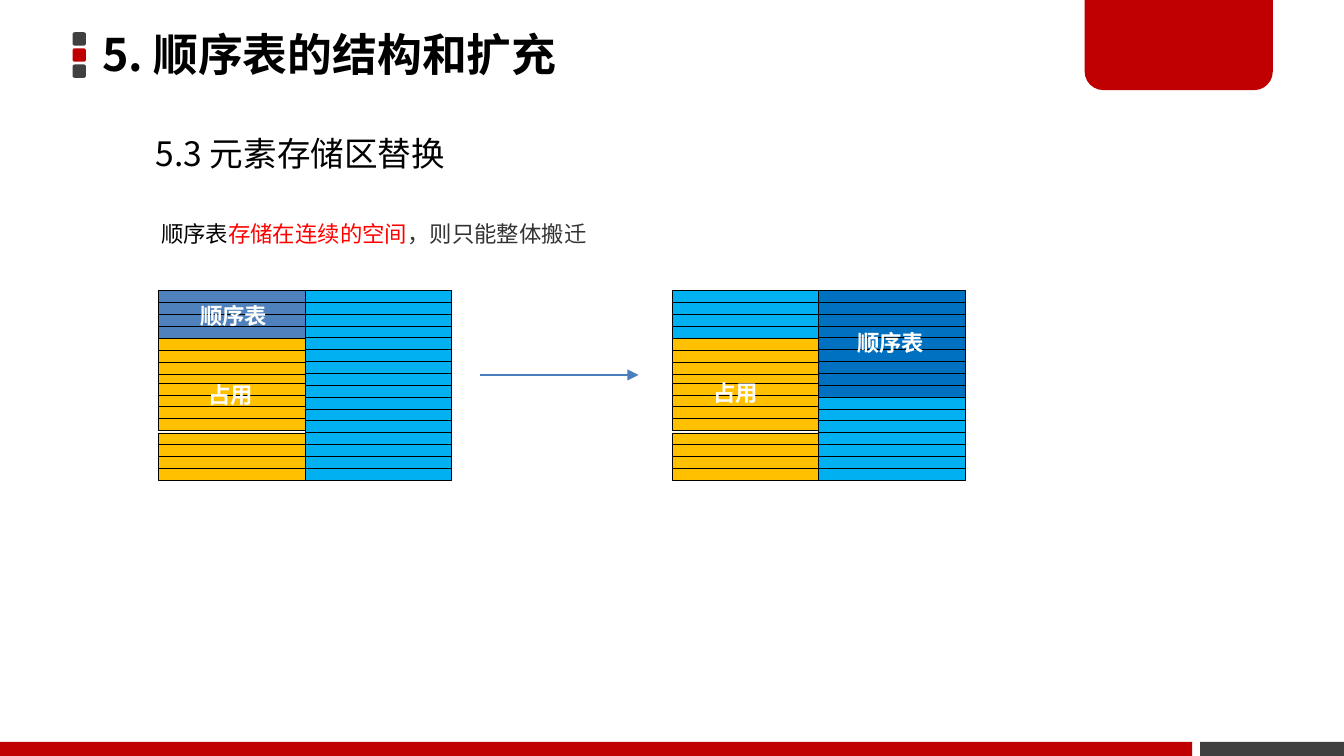
"""Build the slide on replacing the storage area of a sequential list."""
from lxml.etree import SubElement
from pptx import Presentation
from pptx.dml.color import RGBColor
from pptx.enum.shapes import MSO_CONNECTOR, MSO_SHAPE as Shape
from pptx.enum.text import MSO_ANCHOR as Anchor, MSO_AUTO_SIZE as AutoSize, PP_ALIGN as Align
from pptx.oxml.ns import qn
from pptx.util import Inches, Pt

BLACK = RGBColor(0x00, 0x00, 0x00)
WHITE = RGBColor(0xFF, 0xFF, 0xFF)
CHARCOAL = RGBColor(0x33, 0x33, 0x33)
GRAY = RGBColor(0x40, 0x40, 0x40)
CRIMSON = RGBColor(0xC0, 0x00, 0x00)
RED = RGBColor(0xFF, 0x00, 0x00)
STEEL = RGBColor(0x4F, 0x81, 0xBD)
ARROW = RGBColor(0x4B, 0x7E, 0xBC)
SKY = RGBColor(0x00, 0xB0, 0xF0)
NAVY = RGBColor(0x00, 0x70, 0xC0)
AMBER = RGBColor(0xFF, 0xC0, 0x00)

FONT = "Noto Sans CJK SC"
CELL_WIDTH, CELL_HEIGHT = 1.09, 0.09
COLUMN_HEIGHT, CELL_COUNT = 1.41, 16
CELL_PITCH = COLUMN_HEIGHT / CELL_COUNT
MEMORY_TOP = 2.16
BLOCK_TOPS = (MEMORY_TOP, 2.52, 2.85, 3.22)
BLOCK_SIZE = 4


def add_span(para, text, size=12, color=BLACK, bold=False):
    """Append a formatted run to a paragraph."""
    span = para.add_run()
    span.text = text
    span.font.size = Pt(size)
    span.font.bold = bold
    span.font.color.rgb = color
    span.font.name = FONT
    SubElement(span.font._element, qn("a:ea"), typeface=FONT)


class Painter:
    """Hold the style and the current slide."""

    def __init__(self, page):
        """Start painting on a page."""
        self.page = page

    def shape(self, kind, left, top, width, height, fill, line=None):
        """Add a filled preset shape."""
        box = self.page.shapes.add_shape(
            kind, Inches(left), Inches(top), Inches(width), Inches(height))
        box.shadow.inherit = False
        box.fill.solid()
        box.fill.fore_color.rgb = fill
        if line is None:
            box.line.fill.background()
        else:
            box.line.color.rgb = line
            box.line.width = Pt(0.25)
        return box

    def title(self, text):
        """Fill and place the title placeholder."""
        box = self.page.shapes.title
        box.left, box.top = Inches(0.69), Inches(-0.02)
        box.width, box.height = Inches(5.89), Inches(0.89)
        frame = box.text_frame
        frame.auto_size = AutoSize.NONE
        frame.vertical_anchor = Anchor.MIDDLE
        frame.margin_left = frame.margin_right = Inches(0.07)
        frame.margin_top = frame.margin_bottom = Inches(0.04)
        para = frame.paragraphs[0]
        para.alignment = Align.LEFT
        para.line_spacing = 0.9
        add_span(para, text, size=24, bold=True)

    def text(self, left, top, width, height, wrap=False):
        """Add a text box and return its first paragraph."""
        box = self.page.shapes.add_textbox(
            Inches(left), Inches(top), Inches(width), Inches(height))
        box.text_frame.word_wrap = wrap
        box.text_frame.auto_size = AutoSize.SHAPE_TO_FIT_TEXT
        return box.text_frame.paragraphs[0]

    def label(self, text, left, top, width):
        """Add a white label over a memory area."""
        add_span(self.text(left, top, width, 0.3), text, color=WHITE, bold=True)

    def cells(self, left, top, count, fill):
        """Stack memory cells downwards."""
        for index in range(count):
            self.shape(Shape.RECTANGLE, left, top + index * CELL_PITCH,
                       CELL_WIDTH, CELL_HEIGHT, fill, BLACK)

    def memory(self, left, first_fill, used):
        """Draw two columns of memory, the second one partly used."""
        right = left + CELL_WIDTH
        for top, fill in zip(BLOCK_TOPS, (first_fill, AMBER, AMBER, AMBER)):
            self.cells(left, top, BLOCK_SIZE, fill)
        self.cells(right, MEMORY_TOP, used, NAVY)
        self.cells(right, MEMORY_TOP + used * CELL_PITCH, CELL_COUNT - used, SKY)

    def arrow(self, start, end, height):
        """Add a horizontal arrow."""
        line = self.page.shapes.add_connector(
            MSO_CONNECTOR.STRAIGHT, Inches(start), Inches(height), Inches(end), Inches(height))
        line.line.color.rgb = ARROW
        line.line.width = Pt(0.75)
        SubElement(line.line._get_or_add_ln(), qn("a:tailEnd"), type="triangle")
        SubElement(line._element.spPr, qn("a:effectLst"))

    def frame(self):
        """Draw the page decoration."""
        for index, fill in enumerate((GRAY, CRIMSON, GRAY)):
            self.shape(Shape.ROUNDED_RECTANGLE, 0.54, 0.24 + index * 0.12, 0.1, 0.1, fill)
        self.shape(Shape.RECTANGLE, 8.93, 5.52, 1.07, 0.11, GRAY)
        tab = self.shape(Shape.ROUND_2_SAME_RECTANGLE, 8.07, -0.02, 1.4, 0.69, CRIMSON)
        tab.adjustments[0] = 0.2
        tab.rotation = 180
        self.shape(Shape.RECTANGLE, 0, 5.52, 8.87, 0.11, CRIMSON)


def main():
    """Build and save the deck."""
    deck = Presentation()
    deck.slide_width, deck.slide_height = Inches(10), Inches(10 * 9 / 16)
    painter = Painter(deck.slides.add_slide(deck.slide_layouts[5]))
    painter.frame()
    painter.title("5. 顺序表的结构和扩充")
    add_span(painter.text(1.06, 0.94, 2.41, 1.01), "5.3 元素存储区替换", size=18)

    sentence = painter.text(1.1, 1.59, 6.51, 0.3, wrap=True)
    add_span(sentence, "顺序表")
    add_span(sentence, "存储在连续的空间", color=RED)
    add_span(sentence, "，则只能整体搬迁", color=CHARCOAL)

    painter.memory(1.18, STEEL, used=0)
    painter.memory(5, SKY, used=9)
    painter.arrow(3.57, 4.75, 2.79)
    painter.label("顺序表", 1.39, 2.2, 0.71)
    painter.label("占用", 1.45, 2.79, 0.58)
    painter.label("占用", 5.21, 2.77, 0.58)
    painter.label("顺序表", 6.28, 2.4, 0.71)
    deck.save("out.pptx")


if __name__ == "__main__":
    main()
